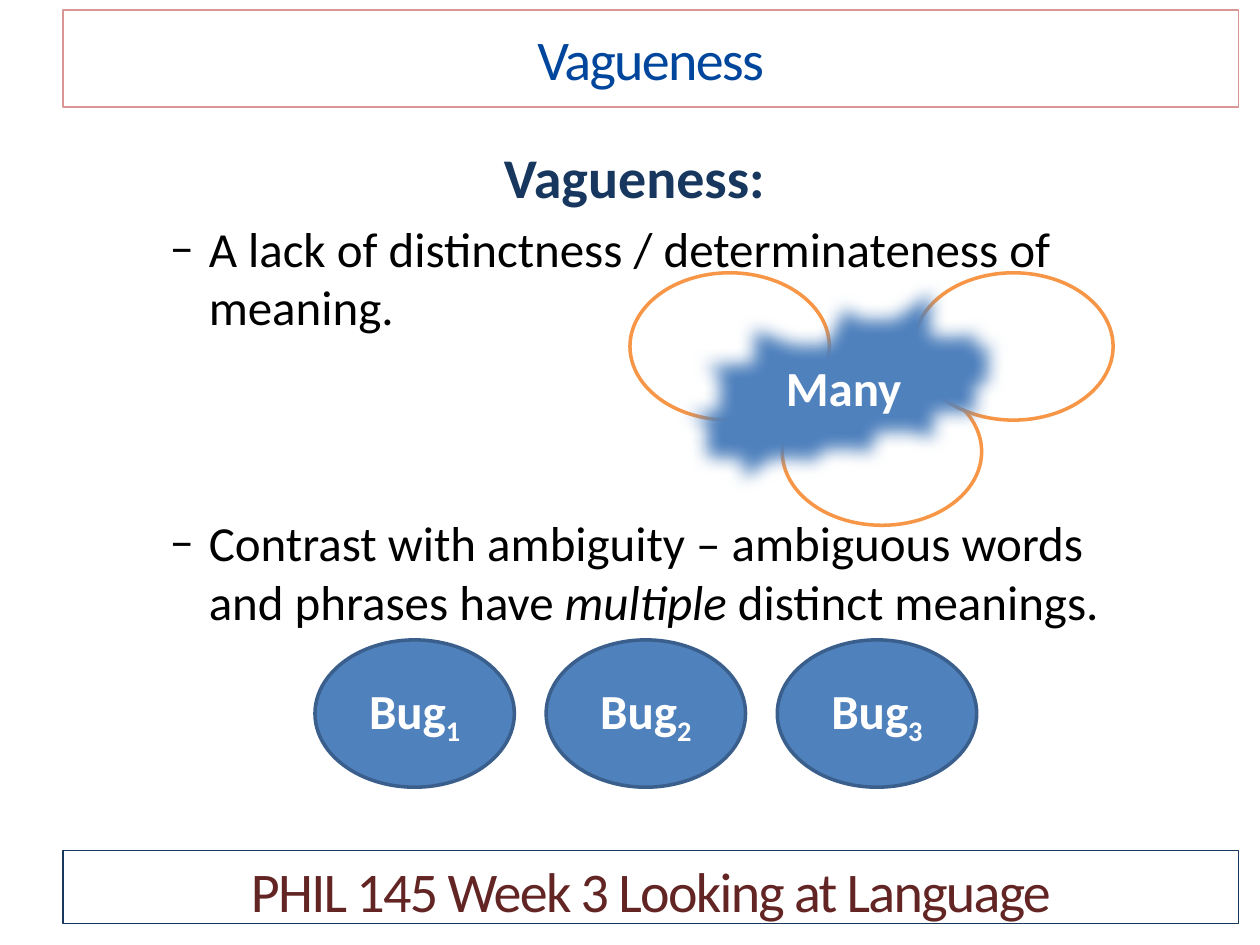
from lxml import etree
from pptx import Presentation
from pptx.dml.color import RGBColor
from pptx.enum.shapes import MSO_SHAPE
from pptx.enum.text import MSO_ANCHOR, PP_ALIGN
from pptx.oxml.ns import qn
from pptx.util import Cm, Pt

CENTER = PP_ALIGN.CENTER
TOP, MIDDLE = MSO_ANCHOR.TOP, MSO_ANCHOR.MIDDLE
OVAL, BURST, RECT = MSO_SHAPE.OVAL, MSO_SHAPE.EXPLOSION2, MSO_SHAPE.RECTANGLE
COLORS = {
    "navy": "17375E", "black": "000000", "white": "FFFFFF",
    "blue": "4F81BD", "blue_edge": "3A5F8C", "orange": "F79646",
    "maroon": "632523", "pink": "D99694", "title": "00469C",
}


def add_span(para, text, size, color, bold=False):
    span = para.add_run()
    span.text = text
    span.font.name = "Calibri"
    span.font.size = Pt(size)
    span.font.bold = bold
    span.font.color.rgb = RGBColor.from_string(COLORS[color])
    return span


def add_figure(kind, left, top, width, height, fill, edge, weight):
    figure = page.shapes.add_shape(kind, Cm(left), Cm(top), Cm(width), Cm(height))
    figure.shadow.inherit = False
    if fill:
        figure.fill.solid()
        figure.fill.fore_color.rgb = RGBColor.from_string(COLORS[fill])
    else:
        figure.fill.background()
    figure.line.color.rgb = RGBColor.from_string(COLORS[edge])
    figure.line.width = Pt(weight)
    figure.text_frame.word_wrap = True
    figure.text_frame.vertical_anchor = MIDDLE
    figure.text_frame.paragraphs[0].alignment = CENTER
    return figure


deck = Presentation()
deck.slide_width, deck.slide_height = Cm(25.4), Cm(19.05)
page = deck.slides.add_slide(deck.slide_layouts[6])

body = page.shapes.add_textbox(Cm(1.9), Cm(2.74), Cm(21.6), Cm(12.5)).text_frame
body.word_wrap = True
heading = body.paragraphs[0]
heading.alignment = CENTER
heading.space_before = Pt(4)
heading._p.get_or_add_pPr().set("marL", str(Cm(0.18)))
add_span(heading, "Vagueness:", 32, "navy", True)

points = [
    (5, [("A lack of distinctness / determinateness of meaning.", False)]),
    (101, [("Contrast with ambiguity – ambiguous words and phrases have ", False),
           ("multiple", True), (" distinct meanings.", False)]),
]
for gap, pieces in points:
    para = body.add_paragraph()
    para.space_before = Pt(gap)
    props = para._p.get_or_add_pPr()
    props.set("marL", str(Cm(2.06)))
    props.set("indent", str(Cm(-0.79)))
    etree.SubElement(props, qn("a:buFont")).set("typeface", "Calibri")
    etree.SubElement(props, qn("a:buChar")).set("char", "–")
    for text, italic in pieces:
        add_span(para, text, 28, "black").font.italic = italic

OVAL_WIDTH, OVAL_HEIGHT = 4.02, 2.97
for index in range(3):
    bug = add_figure(OVAL, 6.35 + index * 4.66, 12.9, OVAL_WIDTH, OVAL_HEIGHT,
                     "blue", "blue_edge", 2)
    para = bug.text_frame.paragraphs[0]
    add_span(para, "Bug", 28, "white", True)
    number = add_span(para, str(index + 1), 28, "white", True)
    number.font._element.set("baseline", "-25000")

for left, top in [(15.77, 7.62), (12.7, 5.5), (18.42, 5.5)]:
    add_figure(OVAL, left, top, OVAL_WIDTH, OVAL_HEIGHT, "white", "orange", 2)

cloud = add_figure(BURST, 12.5, 5.08, 9.73, 5.28, "blue", "blue_edge", 2)
add_span(cloud.text_frame.paragraphs[0], "Many", 28, "white", True)
effects = cloud._element.spPr.find(qn("a:effectLst"))
etree.SubElement(effects, qn("a:softEdge")).set("rad", str(Pt(10)))

banners = [
    ("PHIL 145 Week 3 Looking at Language", 17.15, 1.47, "navy", "maroon", TOP),
    ("Vagueness", 0.2, 1.96, "pink", "title", MIDDLE),
]
for text, top, height, edge, color, anchor in banners:
    banner = add_figure(RECT, 1.27, top, 23.7, height, None, edge, 0.75)
    banner.text_frame.vertical_anchor = anchor
    span = add_span(banner.text_frame.paragraphs[0], text, 32, color)
    span.font._element.set("spc", "-100")

deck.save("out.pptx")
